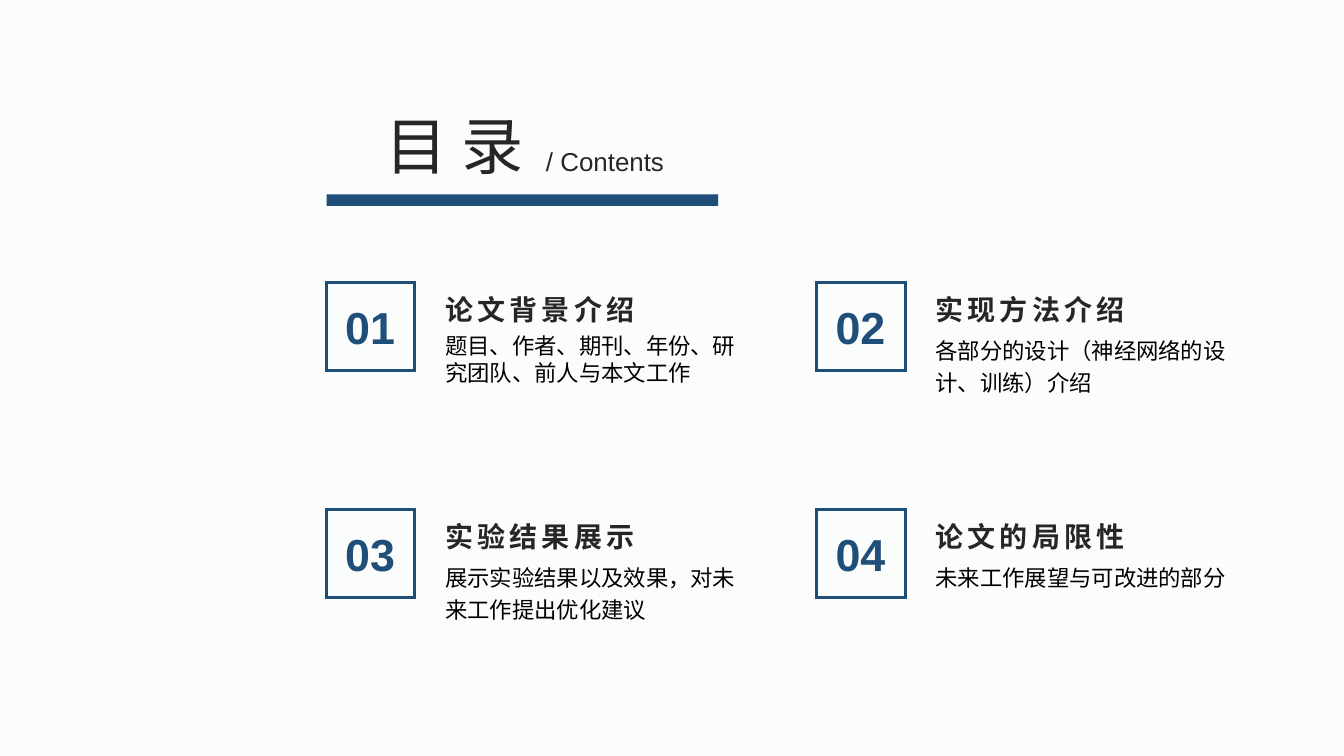
from lxml.etree import SubElement
from pptx import Presentation
from pptx.dml.color import RGBColor
from pptx.enum.shapes import MSO_SHAPE as Shape
from pptx.enum.text import MSO_ANCHOR as Anchor, MSO_AUTO_SIZE as AutoSize, PP_ALIGN as Align
from pptx.oxml.ns import qn
from pptx.util import Emu, Pt

PX = 9525  # EMU per px, 96 px to the inch
TITLE_ONLY = 5


def px(*lengths):
    return [Emu(length * PX) for length in lengths]


def color(hex_string):
    return RGBColor.from_string(hex_string)


def write(shape, text, size, fill, bold=False, align=Align.LEFT, anchor=Anchor.TOP,
          line_spacing=1.0, letter_spacing=0, top=5, bottom=5, sides=10):
    frame = shape.text_frame
    frame.word_wrap = True
    frame.auto_size = AutoSize.NONE
    frame.vertical_anchor = anchor
    frame.margin_left, frame.margin_right = px(sides, sides)
    frame.margin_top, frame.margin_bottom = px(top, bottom)
    paragraph = frame.paragraphs[0]
    paragraph.alignment = align
    paragraph.line_spacing = line_spacing
    run = paragraph.add_run()
    run.text = text
    run.font.name = "Arial"
    run.font.size = Pt(size)
    run.font.bold = bold
    run.font.color.rgb = color(fill)
    if letter_spacing:
        run._r.get_or_add_rPr().set("spc", str(letter_spacing * 100))


class ContentsSlide:
    NAVY, INK, BLACK, PAPER = "1F4E78", "262626", "000000", "FBFCFC"

    def __init__(self, deck):
        self.slide = deck.slides.add_slide(deck.slide_layouts[TITLE_ONLY])
        background = self.slide.background.fill
        background.solid()
        background.fore_color.rgb = color(self.PAPER)

    def title(self, text, *box, **style):
        heading = self.slide.shapes.title
        heading.left, heading.top, heading.width, heading.height = px(*box)
        write(heading, text, fill=self.INK, **style)

    def text(self, text, *box, **style):
        write(self.slide.shapes.add_textbox(*px(*box)), text, **style)

    def rectangle(self, *box):
        rectangle = self.slide.shapes.add_shape(Shape.RECTANGLE, *px(*box))
        rectangle.shadow.inherit = False
        return rectangle

    def bar(self, *box):
        bar = self.rectangle(*box)
        bar.fill.solid()
        bar.fill.fore_color.rgb = color(self.NAVY)
        bar.line.fill.background()

    def frame(self, *box):
        frame = self.rectangle(*box)
        frame.fill.background()
        frame.line.color.rgb = color(self.NAVY)
        frame.line.width = Pt(2.25)
        # Sharp corners
        outline = frame._element.spPr.find(qn("a:ln"))
        SubElement(outline, qn("a:miter"), lim="800000")

    def chapter(self, left, top, number, name, summary, summary_spacing):
        self.frame(left, top, 84, 84)
        self.text(name, left + 103, top - 2, 301, 44, size=20, fill=self.INK, bold=True,
                  anchor=Anchor.MIDDLE, line_spacing=1.2, letter_spacing=3, bottom=0)
        self.text(summary, left + 103, top + 47, 301, 97, size=16, fill=self.BLACK,
                  line_spacing=summary_spacing, top=0)
        self.text(number, left + 8, top + 12, 67, 61, size=32, fill=self.NAVY, bold=True,
                  align=Align.CENTER, anchor=Anchor.MIDDLE, sides=0)


CHAPTERS = [
    ("论文背景介绍", "题目、作者、期刊、年份、研究团队、前人与本文工作", 1.0),
    ("实现方法介绍", "各部分的设计（神经网络的设计、训练）介绍", 1.2),
    ("实验结果展示", "展示实验结果以及效果，对未来工作提出优化建议", 1.2),
    ("论文的局限性", "未来工作展望与可改进的部分", 1.2),
]


def main():
    deck = Presentation()
    deck.slide_width, deck.slide_height = px(1280, 720)
    contents = ContentsSlide(deck)

    # Heading with its underline
    contents.title("目 录", 341, 91, 168, 87, size=44.4, align=Align.RIGHT,
                   anchor=Anchor.BOTTOM, line_spacing=1.1)
    contents.text("/ Contents", 510, 131, 143, 42, size=18.5, fill=contents.INK,
                  line_spacing=1.1)
    contents.bar(311, 185, 373, 11)

    # Chapters in a grid of two columns
    for index, (name, summary, spacing) in enumerate(CHAPTERS):
        row, column = divmod(index, 2)
        contents.chapter(311 + 467 * column, 269 + 216 * row, f"{index + 1:02}",
                         name, summary, spacing)

    deck.save("out.pptx")


if __name__ == "__main__":
    main()
